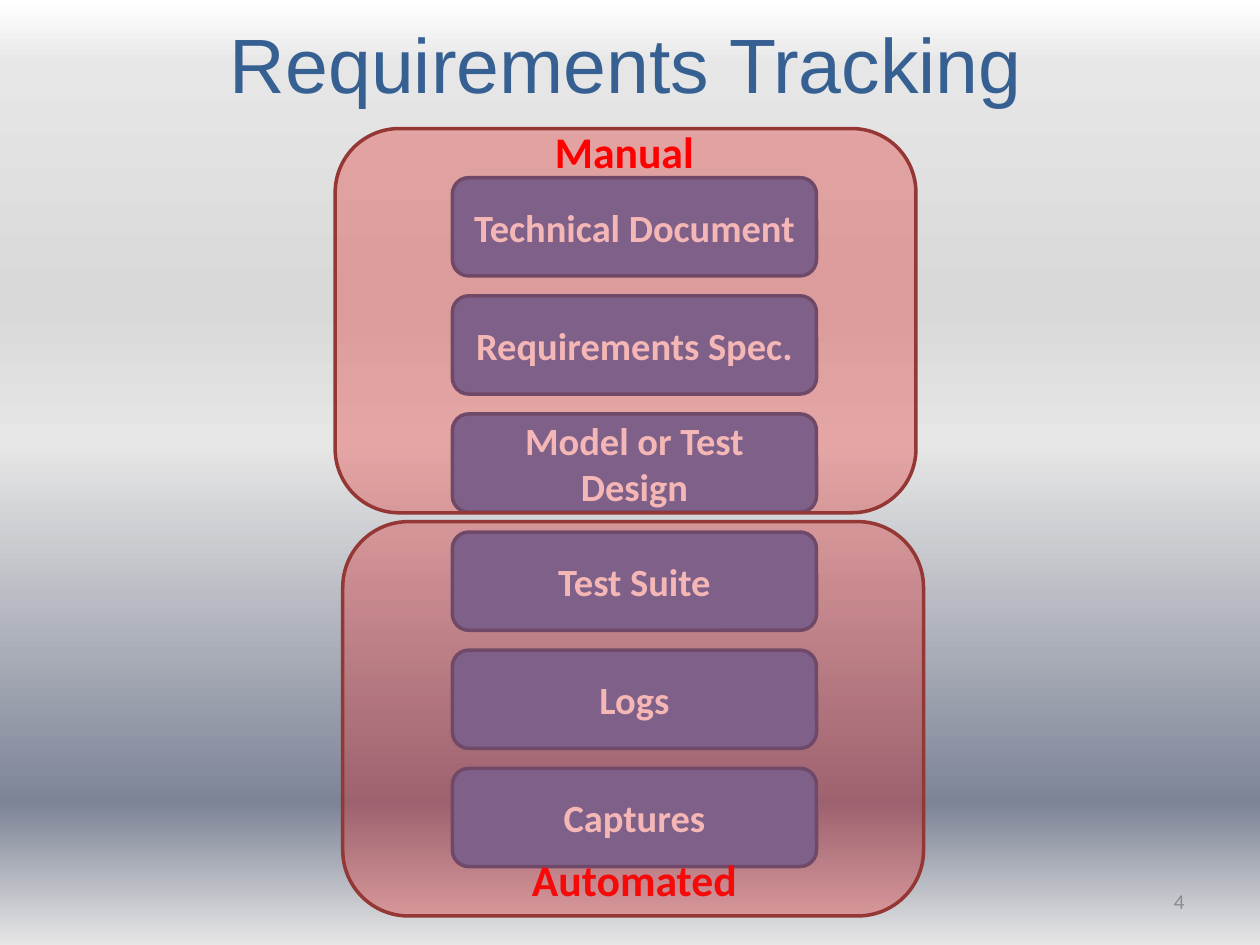
from lxml import etree
from pptx import Presentation
from pptx import util as u
from pptx.dml.color import RGBColor
from pptx.enum import shapes, text
from pptx.oxml.ns import qn

TITLE_BLUE = RGBColor(0x37, 0x60, 0x92)
BOX_FILL = RGBColor(0x4F, 0x81, 0xBD)
BOX_LINE = RGBColor(0x3A, 0x5F, 0x8C)
PANEL_FILL = RGBColor(0xE3, 0x1D, 0x1D)
PANEL_LINE = RGBColor(0x95, 0x37, 0x35)
LABEL_RED = RGBColor(0xFF, 0x00, 0x00)
NUMBER_GREY = RGBColor(0x8C, 0x8C, 0x8C)
WHITE = RGBColor(0xFF, 0xFF, 0xFF)


def add_text(sp, words, size, color, font="Calibri", bold=False,
             align=text.PP_ALIGN.CENTER, anchor=text.MSO_ANCHOR.MIDDLE):
    tf = sp.text_frame
    tf.word_wrap = True
    tf.vertical_anchor = anchor
    p = tf.paragraphs[0]
    p.alignment = align
    r = p.add_run()
    r.text = words
    r.font.size = u.Pt(size)
    r.font.name = font
    r.font.bold = bold
    r.font.color.rgb = color


def add_round_box(at, fill, line):
    sp = s.shapes.add_shape(shapes.MSO_SHAPE.ROUNDED_RECTANGLE, *map(u.Inches, at))
    sp.shadow.inherit = False
    sp.fill.solid()
    sp.fill.fore_color.rgb = fill
    sp.line.color.rgb = line
    sp.line.width = u.Pt(2)
    return sp


prs = Presentation()
prs.slide_width, prs.slide_height = u.Inches(10), u.Inches(7.5)
s = prs.slides.add_slide(prs.slide_layouts[6])

# Background: vertical gradient with six stops
s.background.fill.gradient()
grad = next(s._element.iter(qn("a:gradFill")))
stops = grad.find(qn("a:gsLst"))
for gs in list(stops):
    stops.remove(gs)
for pos, color in [(0, "FFFFFF"), (7, "E6E6E6"), (32, "D9D9D9"),
                   (47, "E6E6E6"), (85, "7D8496"), (100, "E6E6E6")]:
    gs = etree.SubElement(stops, qn("a:gs"), pos=str(pos * 1000))
    etree.SubElement(gs, qn("a:srgbClr"), val=color)
grad.find(qn("a:lin")).set("ang", "5400000")

# Title and slide number
sp = s.shapes.add_textbox(u.Inches(0.47), u.Inches(0), u.Inches(9), u.Inches(0.99))
add_text(sp, "Requirements Tracking", 44, TITLE_BLUE, font="Arial")
sp = s.shapes.add_textbox(u.Inches(7.17), u.Inches(6.95), u.Inches(2.33), u.Inches(0.4))
add_text(sp, "4", 12, NUMBER_GREY, align=text.PP_ALIGN.RIGHT)

# Stack of tracking steps
steps = ["Technical Document", "Requirements Spec.", "Model or Test Design",
         "Test Suite", "Logs", "Captures"]
for i, step in enumerate(steps):
    sp = add_round_box((3.59, 1.41 + i * 0.9375, 2.89, 0.78), BOX_FILL, BOX_LINE)
    add_text(sp, step, 22, WHITE, bold=True)

# Translucent panels over the steps, with their labels
panels = [("Manual", 3.98, 0.94, (2.66, 1.02, 4.61, 3.05)),
          ("Automated", 4.06, 6.72, (2.72, 4.14, 4.61, 3.13))]
for label, left, top, panel in panels:
    label_box = s.shapes.add_textbox(u.Inches(left), u.Inches(top),
                                     u.Inches(1.95), u.Inches(0.52))
    add_text(label_box, label, 25, LABEL_RED, bold=True, anchor=text.MSO_ANCHOR.TOP)
    sp = add_round_box(panel, PANEL_FILL, PANEL_LINE)
    color = sp._element.spPr.find(qn("a:solidFill")).find(qn("a:srgbClr"))
    etree.SubElement(color, qn("a:alpha"), val="32000")

    # The first label lies above its panel, the last one below
    if label == "Manual":
        sp._element.addnext(label_box._element)

prs.save("out.pptx")
